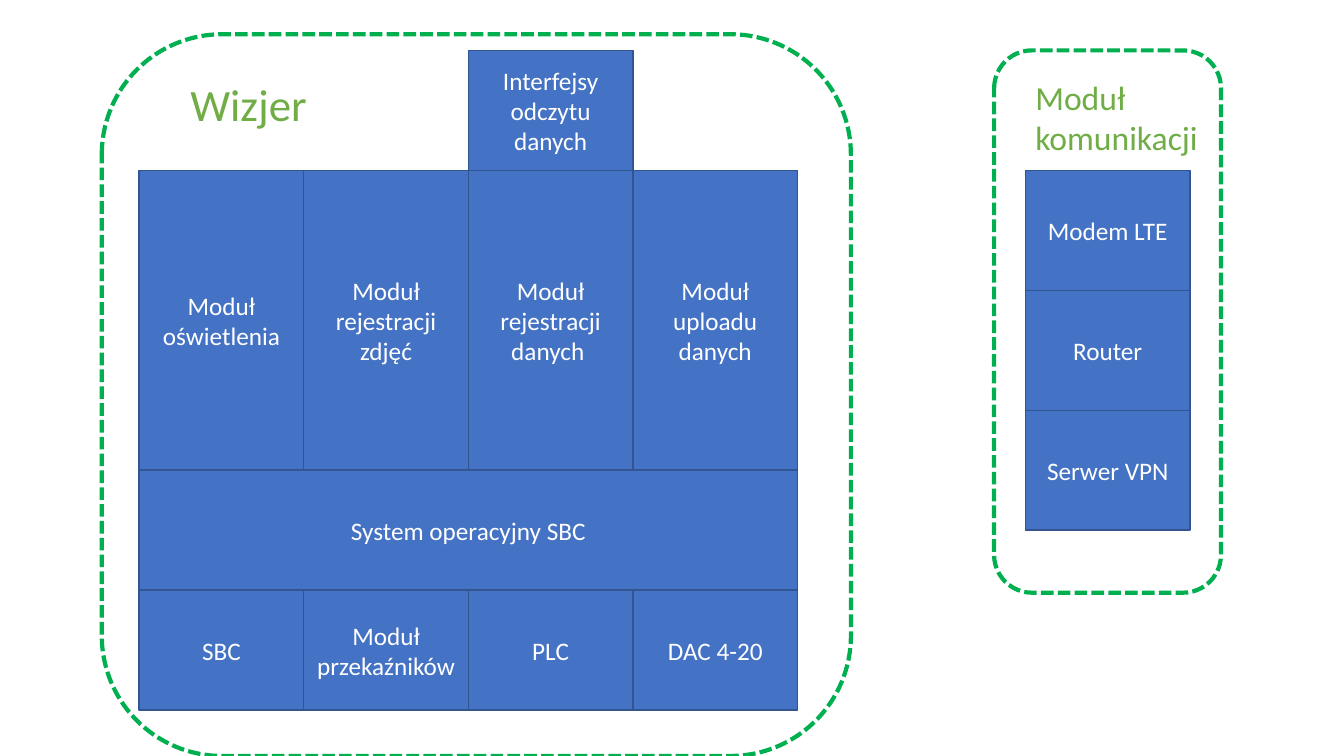
"""Build the slide of the viewer and communication module block diagram."""
from dataclasses import dataclass

import pptx
import pptx.dml.color
import pptx.enum.dml
import pptx.enum.shapes
import pptx.enum.text
import pptx.shapes.autoshape
import pptx.slide
import pptx.text.text
import pptx.util

Inches = pptx.util.Inches
RGBColor = pptx.dml.color.RGBColor
Shapes = pptx.enum.shapes.MSO_SHAPE
Align = pptx.enum.text.PP_ALIGN

BLUE = RGBColor(0x44, 0x72, 0xC4)
DARK_BLUE = RGBColor(0x32, 0x54, 0x91)
FRAME_GREEN = RGBColor(0x00, 0xB0, 0x50)
LABEL_GREEN = RGBColor(0x70, 0xAD, 0x47)
WHITE = RGBColor(0xFF, 0xFF, 0xFF)

FONT = "Calibri"
COLUMN_WIDTH = 6.53 / 4
ROW_HEIGHT = 1.19
GRID_TOP = 0.5
VIEWER_LEFT = 1.38
COMMUNICATION_LEFT = 10.17


@dataclass(frozen=True)
class Block:
    """A block placed in units of grid columns and rows."""

    text: str
    column: float
    row: float
    columns: float = 1
    rows: float = 1


@dataclass(frozen=True)
class Area:
    """A rectangle in inches."""

    left: float
    top: float
    width: float
    height: float

    def lengths(self) -> list[pptx.util.Length]:
        """Return the position and size as slide lengths."""
        return [Inches(value) for value in (self.left, self.top, self.width, self.height)]


@dataclass(frozen=True)
class Label:
    """A green heading with one paragraph per line."""

    lines: tuple[str, ...]
    area: Area
    size: int


MODULES = ("Moduł oświetlenia", "Moduł rejestracji zdjęć",
           "Moduł rejestracji danych ", "Moduł uploadu danych")
HARDWARE = ("SBC", "Moduł przekaźników", "PLC", "DAC 4-20")
COMMUNICATION = ("Modem LTE", "Router", "Serwer VPN")

VIEWER_BLOCKS = [
    *(Block(text, column, 1, rows=2.5) for column, text in enumerate(MODULES)),
    Block("Interfejsy odczytu danych", 2, 0),
    Block("System operacyjny SBC", 0, 3.5, columns=4),
    *(Block(text, column, 4.5) for column, text in enumerate(HARDWARE)),
]
COMMUNICATION_BLOCKS = [Block(text, 0, row) for row, text in enumerate(COMMUNICATION, 1)]

FRAMES = (Area(1.01, 0.34, 7.43, 7.16), Area(9.86, 0.5, 2.25, 5.38))
LABELS = (
    Label(("Wizjer",), Area(1.79, 0.71, 2.5, 0.64), 32),
    Label(("Moduł", "komunikacji"), Area(10.17, 0.71, 2.5, 0.91), 24),
)


def write_text(frame: pptx.text.text.TextFrame, *lines: str, size: int,
               color: RGBColor, align: Align = Align.LEFT) -> None:
    """Write each line as a formatted paragraph of the text frame."""
    frame.word_wrap = True
    for index, line in enumerate(lines):
        para = frame.add_paragraph() if index else frame.paragraphs[0]
        para.alignment = align
        span = para.add_run()
        span.text = line
        span.font.name = FONT
        span.font.size = pptx.util.Pt(size)
        span.font.color.rgb = color


def draw_shape(page: pptx.slide.Slide, kind: Shapes, area: Area, line_color: RGBColor,
               line_width: float) -> pptx.shapes.autoshape.Shape:
    """Draw an outlined shape without shadow or fill."""
    shape = page.shapes.add_shape(kind, *area.lengths())
    shape.shadow.inherit = False
    shape.fill.background()
    shape.line.color.rgb = line_color
    shape.line.width = pptx.util.Pt(line_width)
    return shape


def draw_block(page: pptx.slide.Slide, block: Block, grid_left: float) -> None:
    """Draw a filled block on the grid that starts at grid_left."""
    area = Area(grid_left + block.column * COLUMN_WIDTH,
                GRID_TOP + block.row * ROW_HEIGHT,
                block.columns * COLUMN_WIDTH, block.rows * ROW_HEIGHT)
    shape = draw_shape(page, Shapes.RECTANGLE, area, DARK_BLUE, 1)
    shape.fill.solid()
    shape.fill.fore_color.rgb = BLUE
    shape.text_frame.vertical_anchor = pptx.enum.text.MSO_ANCHOR.MIDDLE
    write_text(shape.text_frame, block.text, size=18, color=WHITE, align=Align.CENTER)


def draw_frame(page: pptx.slide.Slide, area: Area) -> None:
    """Draw a dashed rounded frame around a group of blocks."""
    shape = draw_shape(page, Shapes.ROUNDED_RECTANGLE, area, FRAME_GREEN, 3)
    shape.line.dash_style = pptx.enum.dml.MSO_LINE.SQUARE_DOT


def draw_label(page: pptx.slide.Slide, label: Label) -> None:
    """Draw the heading of a frame."""
    box = page.shapes.add_textbox(*label.area.lengths())
    write_text(box.text_frame, *label.lines, size=label.size, color=LABEL_GREEN)
    box.text_frame.auto_size = pptx.enum.text.MSO_AUTO_SIZE.SHAPE_TO_FIT_TEXT


def main() -> None:
    """Build and save the deck."""
    deck = pptx.Presentation()
    deck.slide_width, deck.slide_height = Inches(13.33), Inches(7.5)
    page = deck.slides.add_slide(deck.slide_layouts.get_by_name("Blank"))
    for block in VIEWER_BLOCKS:
        draw_block(page, block, VIEWER_LEFT)
    for block in COMMUNICATION_BLOCKS:
        draw_block(page, block, COMMUNICATION_LEFT)
    for area in FRAMES:
        draw_frame(page, area)
    for label in LABELS:
        draw_label(page, label)
    deck.save("out.pptx")


main()
